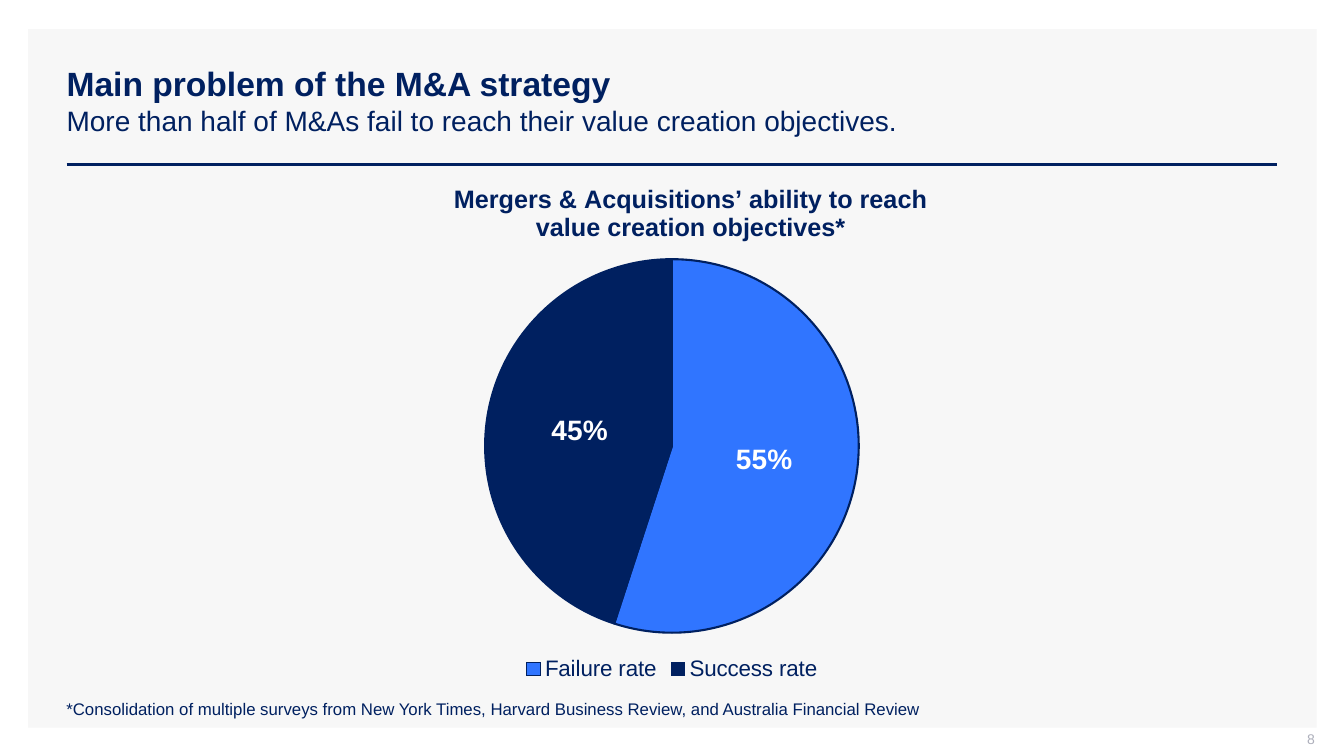
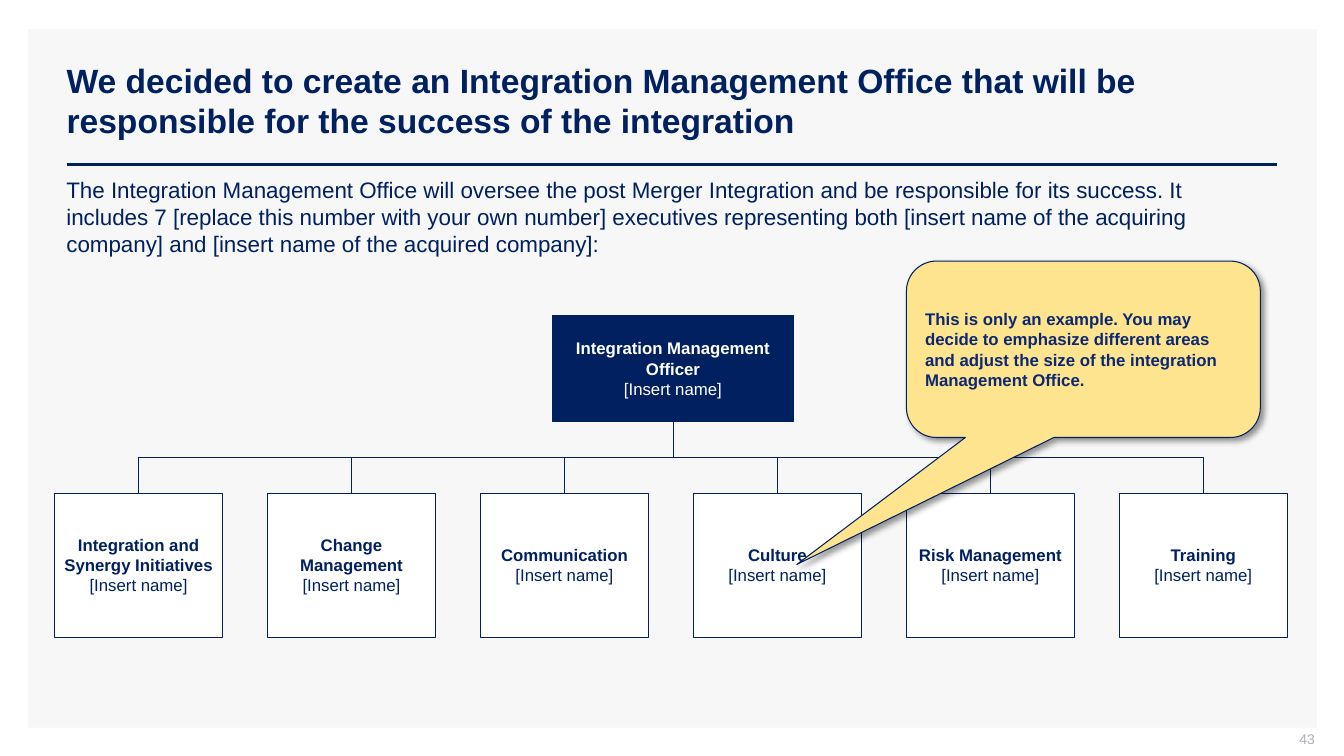
"""Builds two slides on M&A strategy: a pie chart of outcomes and an integration office chart."""
from lxml import etree
from pptx import Presentation
from pptx import util as u
from pptx.chart.data import CategoryChartData
from pptx.dml.color import RGBColor
from pptx.enum import chart as ch, shapes, text
from pptx.oxml.ns import qn

NAVY, BLUE, WHITE, PANEL = "002060", "3075FF", "FFFFFF", "F7F7F7"
GREY, YELLOW, NOTE_INK = "ADAFBB", "FFE48F", "0C2870"
FONT = "Arial"
PX = 9144
rgb = RGBColor.from_string


def px(*lengths):
    return [u.Emu(round(n * PX)) for n in lengths]


def write(sp, words, size, color, bold=False, align=text.PP_ALIGN.LEFT,
          anchor=text.MSO_ANCHOR.TOP, insets=(10, 5, 10, 5)):
    tf = sp.text_frame
    tf.text = words
    tf.word_wrap = True
    tf.vertical_anchor = anchor
    tf.margin_left, tf.margin_top, tf.margin_right, tf.margin_bottom = px(*insets)
    for p in tf.paragraphs:
        p.alignment = align
        for r in p.runs:
            r.font.name, r.font.size, r.font.bold = FONT, u.Pt(size), bold
            r.font.color.rgb = rgb(color)
    return tf


prs = Presentation()
prs.slide_width, prs.slide_height = px(1333, 750)
layout = prs.slide_layouts[5]

title_style = prs.slide_master.element.find(".//" + qn("p:titleStyle") + "/" + qn("a:lvl1pPr"))
title_style.set("algn", "l")
title_font = title_style.find(qn("a:defRPr"))
title_font.set("sz", "2400")
title_font.set("b", "1")
title_font.find(qn("a:latin")).set("typeface", FONT)
title_fill = title_font.find(qn("a:solidFill"))
title_fill.clear()
etree.SubElement(title_fill, qn("a:srgbClr"), val=NAVY)

slides = []
for heading, number in (
    ("Main problem of the M&A strategy\v"
     "More than half of M&As fail to reach their value creation objectives.", "8"),
    ("We decided to create an Integration Management Office that will be "
     "responsible for the success of the integration", "43"),
):
    s = prs.slides.add_slide(layout)
    title = s.shapes.title
    title.left, title.top, title.width, title.height = px(56, 40, 1211, 119)
    title.text_frame.text = heading
    title.text_frame.auto_size = text.MSO_AUTO_SIZE.NONE
    title.text_frame.vertical_anchor = text.MSO_ANCHOR.MIDDLE
    for r in title.text_frame.paragraphs[0].runs[1:]:
        r.font.size, r.font.bold = u.Pt(20), False
    page = s.shapes.add_textbox(*px(1004, 725, 300, 21))
    write(page, number, 10, GREY, align=text.PP_ALIGN.RIGHT,
          anchor=text.MSO_ANCHOR.MIDDLE, insets=(10, 0, 0, 5))
    slides.append(s)
pie_slide, office_slide = slides

panel = pie_slide.shapes.add_shape(shapes.MSO_SHAPE.RECTANGLE, *px(28, 29, 1278, 693))
panel.shadow.inherit = False
panel.fill.solid()
panel.fill.fore_color.rgb = rgb(PANEL)
panel.line.fill.background()
rule = pie_slide.shapes.add_connector(shapes.MSO_CONNECTOR.STRAIGHT, *px(66, 163, 1267, 163))
for i, part in enumerate((panel, rule)):
    layout.shapes.element.insert(2 + i, part.element)
lines = [(rule, 2)]

data = CategoryChartData(number_format="0%")
data.categories = ["Failure rate", "Success rate"]
data.add_series("Series 1", (0.55, 0.45))
chart = pie_slide.shapes.add_chart(ch.XL_CHART_TYPE.PIE, *px(275, 158, 783, 522), data).chart
chart.font.name, chart.font.size = FONT, u.Pt(10)
chart.font.color.rgb = rgb(NAVY)
chart.has_title = True
chart_title = chart.chart_title.text_frame
chart_title.text = "Mergers & Acquisitions’ ability to reach\nvalue creation objectives*"
for p in chart_title.paragraphs:
    font = p.runs[0].font
    font.name, font.size, font.bold = FONT, u.Pt(18), True
    font.color.rgb = rgb(NAVY)
chart.has_legend = True
chart.legend.position = ch.XL_LEGEND_POSITION.BOTTOM
chart.legend.include_in_layout = False
chart.legend.font.name, chart.legend.font.size = FONT, u.Pt(16)
chart.legend.font.color.rgb = rgb(NAVY)

plot = chart.plots[0]
plot.vary_by_categories = True
for i, color in enumerate((BLUE, NAVY)):
    point = plot.series[0].points[i].format
    point.fill.solid()
    point.fill.fore_color.rgb = rgb(color)
    point.line.color.rgb = rgb(NAVY)
    point.line.width = u.Pt(1.5)
plot.has_data_labels = True
labels = plot.data_labels
labels.show_value = True
labels.number_format, labels.number_format_is_linked = "0%", False
labels.position = ch.XL_LABEL_POSITION.CENTER
labels.font.name, labels.font.size, labels.font.bold = FONT, u.Pt(20), True
labels.font.color.rgb = rgb(WHITE)

for tag, index, settings in (
    ("c:title", 1, (("xMode", "edge"), ("yMode", "edge"), ("x", "0.22"), ("y", "0.04"))),
    ("c:plotArea", 0, (("layoutTarget", "inner"), ("xMode", "edge"), ("yMode", "edge"),
                       ("x", "0.26"), ("y", "0.19"), ("w", "0.48"), ("h", "0.71"))),
):
    area = chart.element.find(".//" + qn(tag))
    for old in area.findall(qn("c:layout")):
        area.remove(old)
    place = etree.Element(qn("c:layout"))
    manual = etree.SubElement(place, qn("c:manualLayout"))
    for name, value in settings:
        etree.SubElement(manual, qn("c:" + name), val=value)
    area.insert(index, place)

footnote = pie_slide.shapes.add_textbox(*px(56, 688, 875, 30))
write(footnote, "*Consolidation of multiple surveys from New York Times, Harvard Business Review, "
      "and Australia Financial Review", 12, NAVY)

intro = office_slide.shapes.add_textbox(*px(56, 170, 1211, 91))
write(intro, "The Integration Management Office will oversee the post Merger Integration and be "
      "responsible for its success. It includes 7 [replace this number with your own number] "
      "executives representing both [insert name of the acquiring company] and [insert name of "
      "the acquired company]:", 16, NAVY)

areas = ("Integration and Synergy Initiatives", "Change Management", "Communication",
         "Culture", "Risk Management", "Training")
pitch = (1110 - 54) / (len(areas) - 1)
cards = [("Integration Management Officer", (548, 313, 239, 105), NAVY, WHITE, 2)]
cards += [(area, (54 + i * pitch, 489, 167, 143), WHITE, NAVY, 6) for i, area in enumerate(areas)]
boxes = []
for role, place, fill, ink, inset in cards:
    box = office_slide.shapes.add_shape(shapes.MSO_SHAPE.RECTANGLE, *px(*place))
    box.shadow.inherit = False
    box.fill.solid()
    box.fill.fore_color.rgb = rgb(fill)
    box.line.color.rgb = rgb(NAVY)
    box.line.width = u.Pt(0.5)
    tf = write(box, role + "\n[Insert name]", 12, ink, True, text.PP_ALIGN.CENTER,
               text.MSO_ANCHOR.MIDDLE, (inset, 2, inset, 2))
    tf.paragraphs[1].runs[0].font.bold = False
    boxes.append(box)

officer, *members = boxes
start_x, start_y = officer.left + officer.width // 2, officer.top + officer.height
for box in members:
    end_x = box.left + box.width // 2
    drop, reach = box.top - start_y, abs(end_x - start_x)
    link = office_slide.shapes.add_connector(shapes.MSO_CONNECTOR.ELBOW,
                                             start_x, start_y, end_x, box.top)
    link.begin_connect(officer, 2)
    link.end_connect(box, 0)
    link.left = (start_x + end_x - drop) // 2
    link.top = (start_y + box.top - reach) // 2
    link.width, link.height = drop, reach
    to_right = end_x > start_x
    xfrm = link.element.spPr.xfrm
    xfrm.set("rot", str((270 if to_right else 90) * 60000))
    xfrm.set("flipH", "1" if to_right else "0")
    xfrm.set("flipV", "0")
    lines.append((link, 0.5))

for line, weight in lines:
    line.line.color.rgb = rgb(NAVY)
    line.line.width = u.Pt(weight)
    etree.SubElement(line.element.spPr, qn("a:effectLst"))

callout = office_slide.shapes.add_shape(shapes.MSO_SHAPE.ROUNDED_RECTANGULAR_CALLOUT,
                                        *px(899, 259, 351, 175))
for i, value in enumerate((-0.81, 1.22, 0.17)):
    callout.adjustments[i] = value
callout.fill.solid()
callout.fill.fore_color.rgb = rgb(YELLOW)
callout.line.color.rgb = rgb(NAVY)
callout.line.width = u.Pt(0.75)
callout.shadow.inherit = False
shadow = etree.SubElement(callout.element.spPr.find(qn("a:effectLst")), qn("a:outerShdw"),
                          blurRad=str(u.Pt(4)), dist=str(u.Pt(3)), dir=str(45 * 60000),
                          algn="tl", rotWithShape="0")
shade = etree.SubElement(shadow, qn("a:srgbClr"), val="000000")
etree.SubElement(shade, qn("a:alpha"), val="40000")
write(callout, "This is only an example. You may decide to emphasize different areas and adjust "
      "the size of the integration Management Office.", 12, NOTE_INK, True,
      anchor=text.MSO_ANCHOR.MIDDLE)

prs.save("out.pptx")
